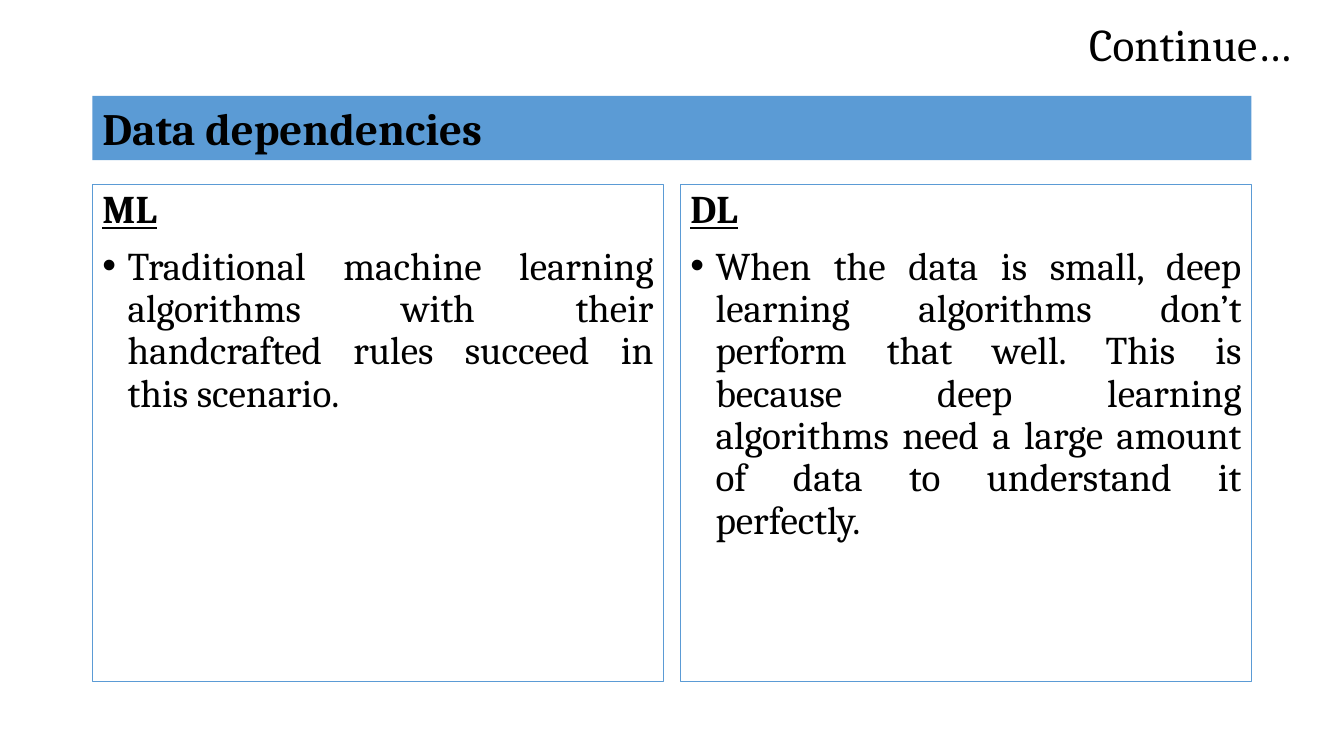
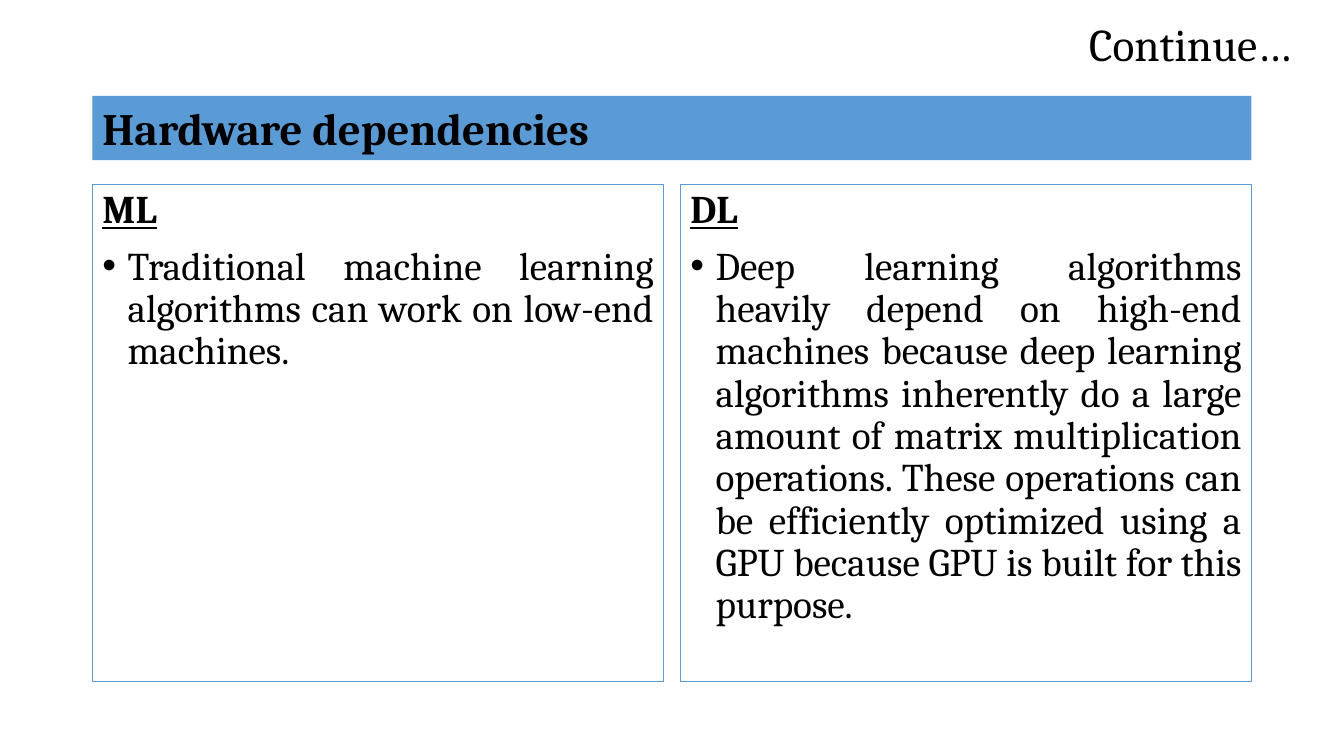
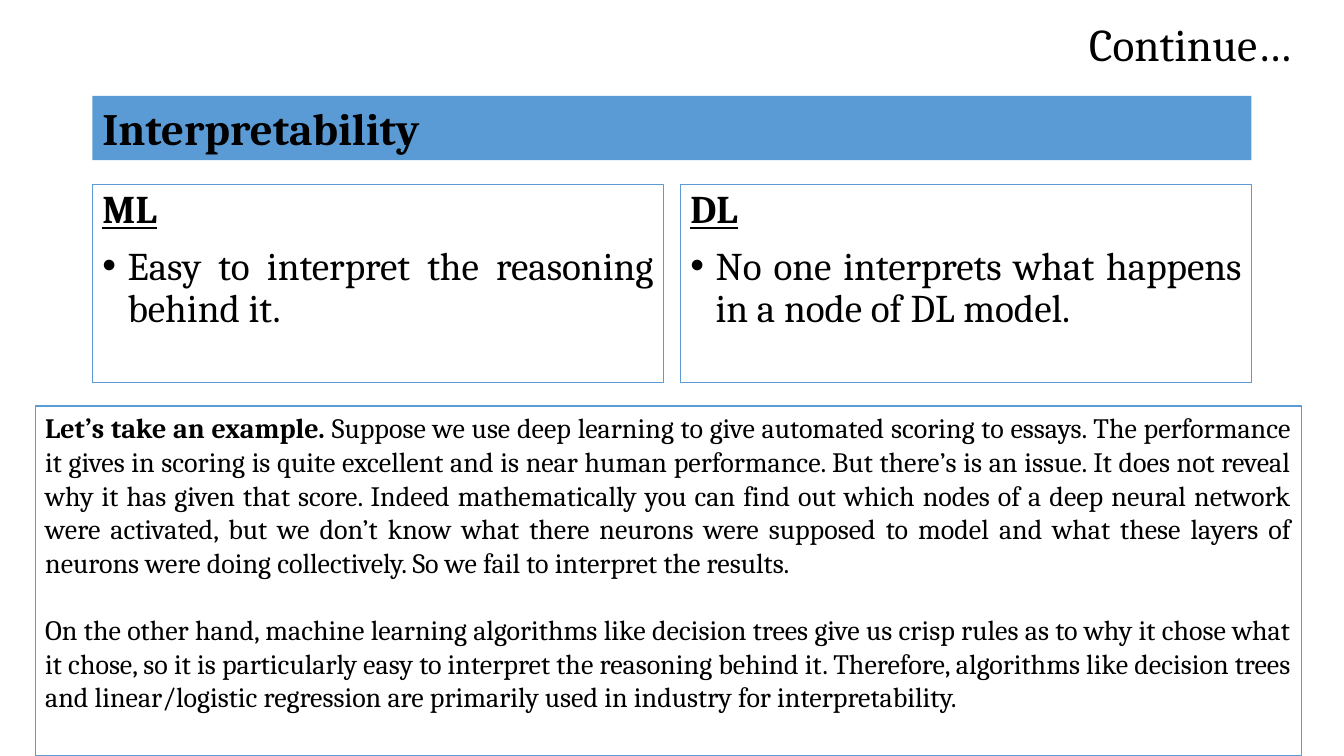
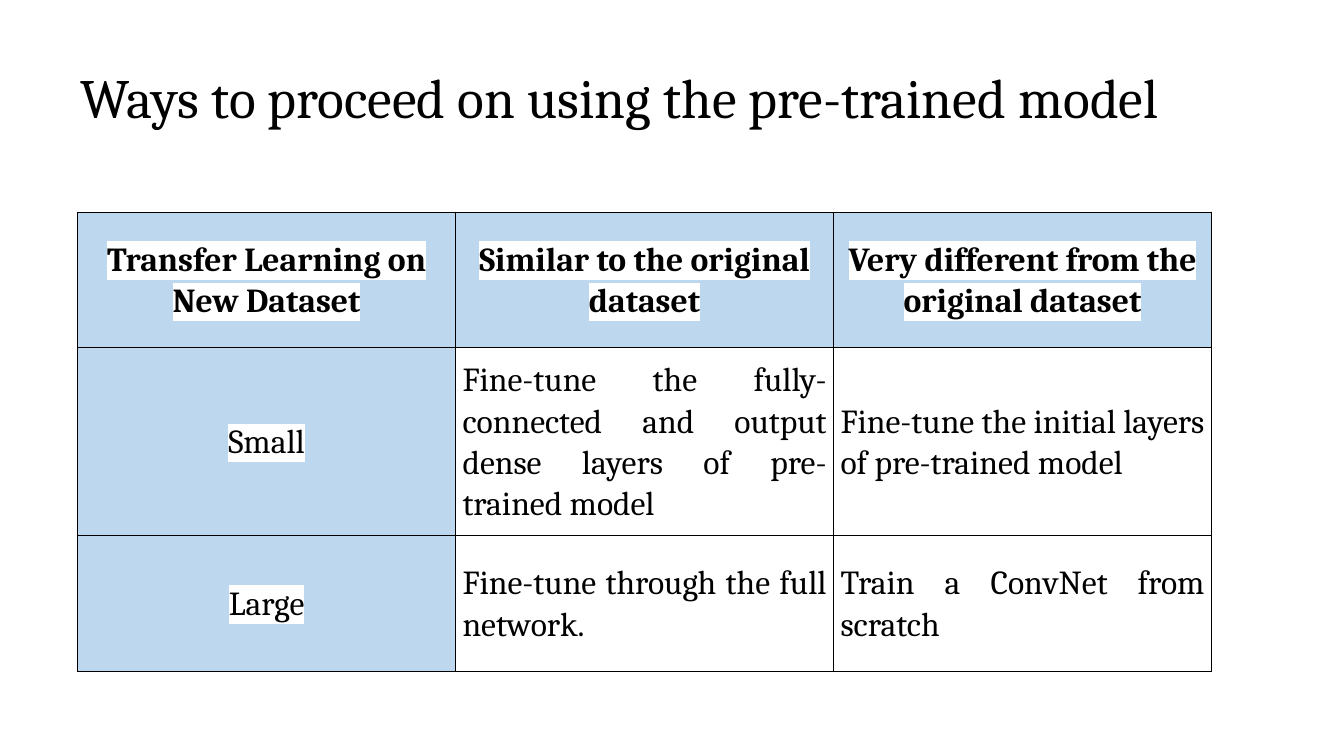
from lxml import etree
from pptx import Presentation
from pptx.dml.color import RGBColor
from pptx.enum.shapes import MSO_SHAPE
from pptx.enum.text import MSO_ANCHOR, MSO_AUTO_SIZE, PP_ALIGN
from pptx.oxml.ns import qn
from pptx.util import Pt

LEFT, CENTER, RIGHT, JUSTIFY = PP_ALIGN.LEFT, PP_ALIGN.CENTER, PP_ALIGN.RIGHT, PP_ALIGN.JUSTIFY
TOP, MIDDLE = MSO_ANCHOR.TOP, MSO_ANCHOR.MIDDLE
NO_AUTOFIT = MSO_AUTO_SIZE.NONE
RECTANGLE = MSO_SHAPE.RECTANGLE

BLACK = RGBColor(0x00, 0x00, 0x00)
WHITE = RGBColor(0xFF, 0xFF, 0xFF)
BLUE = RGBColor(0x5B, 0x9B, 0xD5)
PALE_BLUE = RGBColor(0xBD, 0xD7, 0xEE)
FONT = "Cambria"

TWO_CONTENT, TITLE_ONLY = 3, 5
CONTENT_LEFT, CONTENT_WIDTH = 66, 828
PANEL_TOP, PANEL_WIDTH = 132, 408
PANEL_GAP = CONTENT_WIDTH - 2 * PANEL_WIDTH

COMPARISONS = [
    ("Data dependencies", 355,
     "Traditional machine learning algorithms with their handcrafted rules succeed in this scenario.",
     "When the data is small, deep learning algorithms don’t perform that well. This is because deep "
     "learning algorithms need a large amount of data to understand it perfectly."),
    ("Hardware dependencies", 355,
     "Traditional machine learning algorithms can work on low-end machines.",
     "Deep learning algorithms heavily depend on high-end machines because deep learning algorithms "
     "inherently do a large amount of matrix multiplication operations. These operations can be "
     "efficiently optimized using a GPU because GPU is built for this purpose."),
    ("Interpretability", 141,
     "Easy to interpret the reasoning behind it.",
     "No one interprets what happens in a node of DL model."),
]

EXAMPLE_LEAD = "Let’s take an example. "
EXAMPLE = (
    "Suppose we use deep learning to give automated scoring to essays. The performance it gives in "
    "scoring is quite excellent and is near human performance. But there’s is an issue. It does not "
    "reveal why it has given that score. Indeed mathematically you can find out which nodes of a deep "
    "neural network were activated, but we don’t know what there neurons were supposed to model and "
    "what these layers of neurons were doing collectively. So we fail to interpret the results."
)
CONTRAST = (
    "On the other hand, machine learning algorithms like decision trees give us crisp rules as to why "
    "it chose what it chose, so it is particularly easy to interpret the reasoning behind it. "
    "Therefore, algorithms like decision trees and linear/logistic regression are primarily used in "
    "industry for interpretability."
)

TABLE_ROWS = [
    ["Transfer Learning on New Dataset", "Similar to the original dataset",
     "Very different from the original dataset"],
    ["Small", "Fine-tune the fully-connected and output dense layers of pre-trained model",
     "Fine-tune the initial layers of pre-trained model"],
    ["Large", "Fine-tune through the full network.", "Train a ConvNet from scratch"],
]
ROW_HEIGHTS = [97, 134, 97]
COLUMN_WIDTH = 270


def format_paragraph(paragraph, size, alignment, spacing=1.0, before=0, bold=False):
    paragraph.alignment = alignment
    paragraph.line_spacing = spacing
    paragraph.space_before = Pt(before)
    for run in paragraph.runs:
        run.font.name = FONT
        run.font.size = Pt(size)
        run.font.bold = bold
        run.font.color.rgb = BLACK


def place(shape, left, top, width, height):
    shape.left, shape.top = Pt(left), Pt(top)
    shape.width, shape.height = Pt(width), Pt(height)
    shape.text_frame.auto_size = NO_AUTOFIT


presentation = Presentation()
presentation.slide_width = Pt(960)
presentation.slide_height = Pt(540)

for topic, panel_height, ml_text, dl_text in COMPARISONS:
    slide = presentation.slides.add_slide(presentation.slide_layouts[TWO_CONTENT])
    title = slide.shapes.title
    place(title, 101.5, 16, CONTENT_WIDTH, 34.5)
    title.text_frame.text = "Continue…"
    format_paragraph(title.text_frame.paragraphs[0], 32.4, RIGHT, 0.9)

    band = slide.shapes.add_shape(RECTANGLE, Pt(CONTENT_LEFT), Pt(68.4), Pt(CONTENT_WIDTH), Pt(46))
    band.shadow.inherit = False
    band.fill.solid()
    band.fill.fore_color.rgb = BLUE
    band.line.fill.background()
    band.text_frame.vertical_anchor = TOP
    band.text_frame.text = topic
    format_paragraph(band.text_frame.paragraphs[0], 32, LEFT, bold=True)

    for index, (heading_text, body_text) in enumerate([("ML", ml_text), ("DL", dl_text)]):
        panel = slide.placeholders[index + 1]
        panel_left = CONTENT_LEFT + index * (PANEL_WIDTH + PANEL_GAP)
        place(panel, panel_left, PANEL_TOP, PANEL_WIDTH, panel_height)
        panel.line.color.rgb = BLUE
        panel.line.width = Pt(0.75)
        panel.text_frame.text = heading_text
        heading = panel.text_frame.paragraphs[0]
        body = panel.text_frame.add_paragraph()
        body.text = body_text
        for paragraph, indent in ((heading, 0), (body, 18)):
            properties = paragraph._p.get_or_add_pPr()
            properties.set("marL", str(Pt(indent)))
            properties.set("indent", str(-Pt(indent)))
        etree.SubElement(heading._p.pPr, qn("a:buNone"))
        format_paragraph(heading, 28, JUSTIFY, 0.9, bold=True)
        heading.runs[0].font.underline = True
        format_paragraph(body, 28, JUSTIFY, 0.9, before=10)

example_box = slide.shapes.add_shape(RECTANGLE, Pt(25.2), Pt(290), Pt(904.3), Pt(250))
example_box.shadow.inherit = False
example_box.fill.solid()
example_box.fill.fore_color.rgb = WHITE
example_box.line.color.rgb = BLUE
example_box.line.width = Pt(1)
example_box.text_frame.vertical_anchor = TOP
example_box.text_frame.text = EXAMPLE_LEAD
example = example_box.text_frame.paragraphs[0]
example.add_run().text = EXAMPLE
format_paragraph(example, 20, JUSTIFY)
example.runs[0].font.bold = True
contrast = example_box.text_frame.add_paragraph()
contrast.text = CONTRAST
format_paragraph(contrast, 20, JUSTIFY, before=24)

slide = presentation.slides.add_slide(presentation.slide_layouts[TITLE_ONLY])
title = slide.shapes.title
place(title, 50.4, 20, 860, 104)
title.text_frame.text = "Ways to proceed on using the pre-trained model"
format_paragraph(title.text_frame.paragraphs[0], 39.6, LEFT, 0.9)

table = slide.shapes.add_table(
    len(TABLE_ROWS), 3, Pt(55.4), Pt(151.5), Pt(3 * COLUMN_WIDTH), Pt(sum(ROW_HEIGHTS))
).table
table.first_row = False
table.horz_banding = False
for column in table.columns:
    column.width = Pt(COLUMN_WIDTH)

for row_index, row_texts in enumerate(TABLE_ROWS):
    table.rows[row_index].height = Pt(ROW_HEIGHTS[row_index])
    for column_index, cell_text in enumerate(row_texts):
        is_header = row_index == 0 or column_index == 0
        cell = table.cell(row_index, column_index)
        cell.margin_left = cell.margin_right = cell.margin_top = cell.margin_bottom = Pt(5)
        cell.vertical_anchor = MIDDLE
        cell.text_frame.text = cell_text
        paragraph = cell.text_frame.paragraphs[0]
        format_paragraph(paragraph, 24, CENTER if is_header else JUSTIFY, 1.07, bold=row_index == 0)
        if is_header:
            cell.fill.solid()
            cell.fill.fore_color.rgb = PALE_BLUE
            highlight = etree.Element(qn("a:highlight"))
            etree.SubElement(highlight, qn("a:srgbClr"), val=str(WHITE))
            paragraph.runs[0]._r.rPr.find(qn("a:solidFill")).addnext(highlight)
        else:
            cell.fill.background()
        cell_properties = cell._tc.get_or_add_tcPr()
        for position, side in enumerate(("a:lnL", "a:lnR", "a:lnT", "a:lnB")):
            border = etree.Element(qn(side), w=str(Pt(1)))
            border_fill = etree.SubElement(border, qn("a:solidFill"))
            etree.SubElement(border_fill, qn("a:srgbClr"), val=str(BLACK))
            cell_properties.insert(position, border)

presentation.save("out.pptx")
